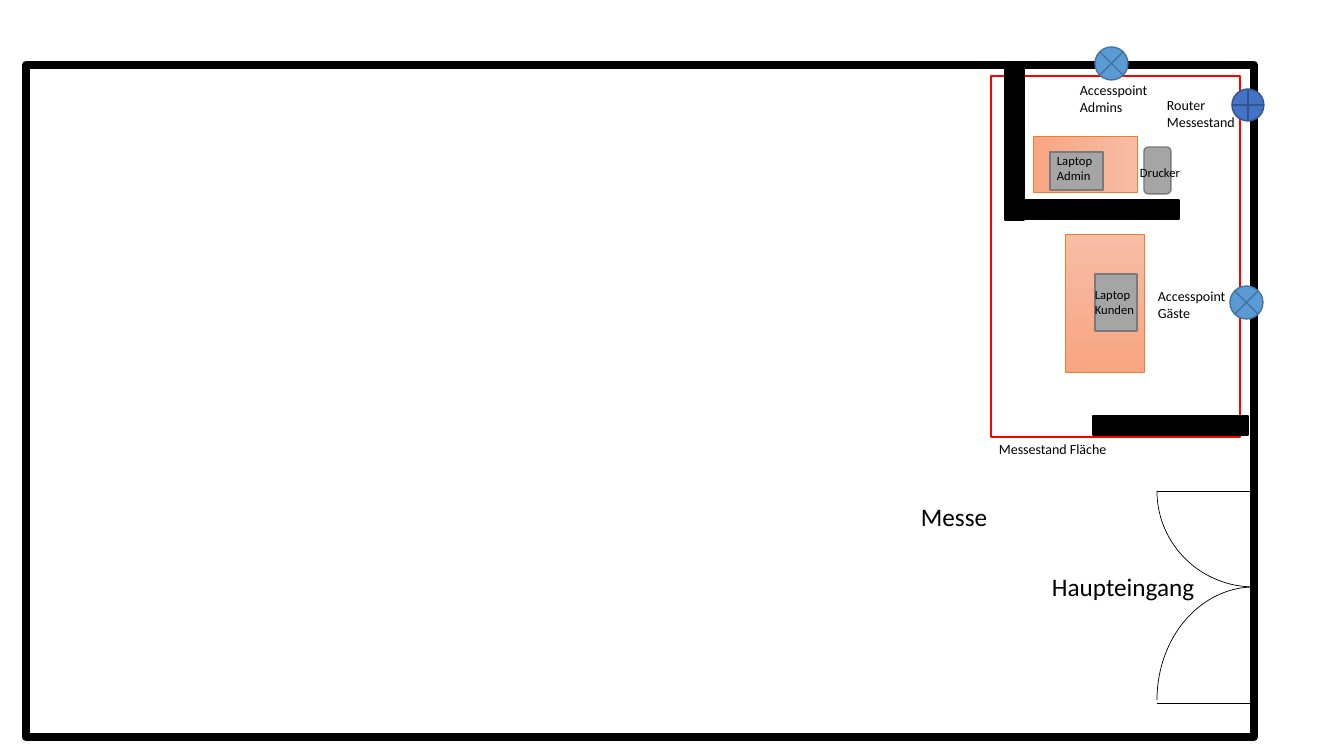
import pptx
import pptx.util
import pptx.dml.color
import pptx.enum.shapes
import pptx.oxml

SCALE = 914400 / 100.8
KIND = pptx.enum.shapes.MSO_SHAPE
INK = {
    "black": "000000", "red": "FF0000", "peach": "F7BDA5",
    "salmon": "F8A582", "orange": "ED7D31", "gray": "A5A5A5",
    "steel": "7A7A7A", "sky": "5B9BD5", "sea": "43739E",
    "blue": "4472C4", "navy": "325491",
}


def emu(size):
    return pptx.util.Emu(round(size * SCALE))


def color(name):
    return pptx.dml.color.RGBColor.from_string(INK[name])


def place(box, part):
    left, top, wide, high = part
    return [emu(n) for n in (box[0] + left, box[1] + top, wide, high)]


def stroke(item, name, width):
    item.line.color.rgb = color(name)
    item.line.width = pptx.util.Pt(width)


def shape(slide, box, part, kind, fill, line, width=1):
    item = slide.shapes.add_shape(kind, *place(box, part))
    item.shadow.inherit = False
    if fill:
        item.fill.solid()
        item.fill.fore_color.rgb = color(fill)
    else:
        item.fill.background()
    stroke(item, line, width)
    return item


def label(slide, box, part, lines, size):
    item = slide.shapes.add_textbox(*place(box, part))
    frame = item.text_frame
    frame.word_wrap = True
    for row, line in enumerate(lines):
        para = frame.add_paragraph() if row else frame.paragraphs[0]
        run = para.add_run()
        run.text = line
        run.font.name = "Calibri"
        run.font.size = pptx.util.Pt(size)
        run.font.color.rgb = color("black")


def desk(slide, box, part, angle):
    item = shape(slide, box, part, KIND.RECTANGLE, None, "orange", 0.5)
    item.fill.gradient()
    item.fill.gradient_angle = angle
    for stop, name in zip(item.fill.gradient_stops, ("peach", "salmon")):
        stop.color.rgb = color(name)


def draw_hall(slide, box):
    shape(slide, box, (0, 0, box[2], box[3]), KIND.RECTANGLE, None, "black", 6)
    label(slide, box, (885, 431, 163, 40), ["Messe"], 18)


def draw_door(slide, box):
    wide, high = box[2:]
    for top, tall, start in ((-96, 192, 90), (96, 226, 180)):
        arc = shape(slide, box, (0, top, 2 * wide, tall), KIND.ARC, None, "black", 0.5)
        arc.adjustments[0] = start * 0.6
        arc.adjustments[1] = (start + 90) * 0.6
    for drop in (0, high):
        left, top, right, _ = place(box, (0, drop, wide, 0))
        edge = slide.shapes.add_connector(
            pptx.enum.shapes.MSO_CONNECTOR.STRAIGHT, left, top, left + right, top)
        stroke(edge, "black", 0.5)
        props = edge._element.spPr
        props.append(pptx.oxml.parse_xml(
            '<a:effectLst xmlns:a="http://schemas.openxmlformats.org/drawingml/2006/main"/>'))
    label(slide, box, (-115, 75, 181, 40), ["Haupteingang"], 18)


def draw_stand(slide, box):
    shape(slide, box, (0, 0, box[2], box[3]), KIND.RECTANGLE, None, "red")
    for wall in ((14, -11, 19, 155), (33, 124, 155, 19), (102, 340, 155, 19)):
        shape(slide, box, wall, KIND.RECTANGLE, "black", "black")
    desk(slide, box, (74, 158, 79, 138), 270)
    desk(slide, box, (42, 60, 104, 56), 180)
    for part, kind in (
        ((104, 198, 42, 57), KIND.RECTANGLE),
        ((59, 76, 53, 38), KIND.RECTANGLE),
        ((153, 71, 27, 47), KIND.ROUNDED_RECTANGLE),
    ):
        shape(slide, box, part, kind, "gray", "steel")
    for left, top in ((104, -29), (239, 210)):
        shape(slide, box, (left, top, 33, 33),
              KIND.FLOWCHART_SUMMING_JUNCTION, "sky", "sea")
    shape(slide, box, (241, 13, 32, 32), KIND.FLOWCHART_OR, "blue", "navy")
    for part, lines, size in (
        ((56, 72, 69, 40), ["Laptop", "Admin"], 9),
        ((94, 206, 69, 40), ["Laptop", "Kunden"], 9),
        ((139, 84, 70, 25), ["Drucker"], 9),
        ((79, 1, 93, 44), ["Accesspoint", "Admins"], 10),
        ((157, 207, 93, 44), ["Accesspoint", "Gäste"], 10),
        ((166, 16, 93, 44), ["Router", "Messestand"], 10),
        ((-2, 360, 139, 27), ["Messestand Fläche"], 10),
    ):
        label(slide, box, part, lines, size)


def main():
    deck = pptx.Presentation()
    deck.slide_width = emu(1344)
    deck.slide_height = emu(756)
    slide = deck.slides.add_slide(deck.slide_layouts[6])
    draw_hall(slide, (26, 65, 1228, 672))
    draw_door(slide, (1157, 491, 97, 212))
    draw_stand(slide, (991, 76, 249, 361))
    deck.save("out.pptx")


main()
